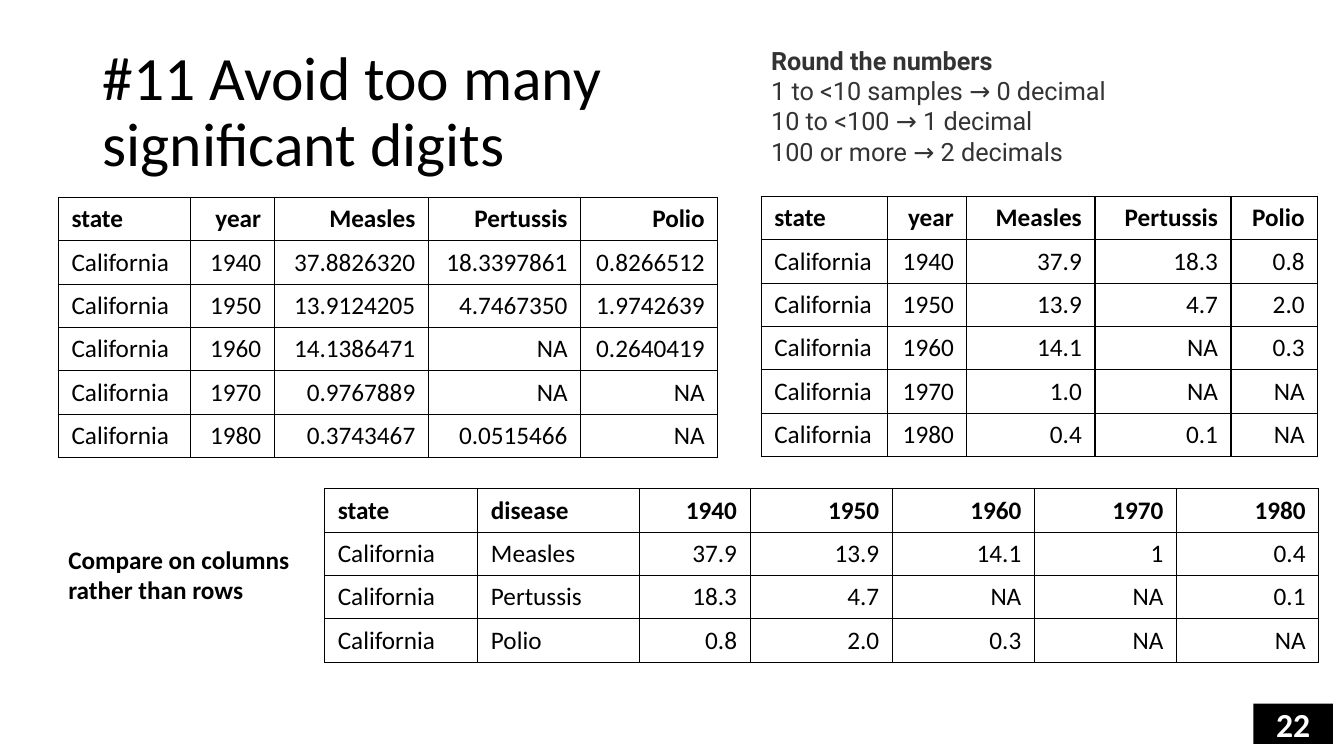
import pptx
import pptx.util
import pptx.dml.color
import pptx.enum.shapes
import pptx.enum.text
import pptx.oxml
from pptx.util import Inches

ALIGN = pptx.enum.text.PP_ALIGN
MIDDLE = pptx.enum.text.MSO_ANCHOR.MIDDLE
BLACK = "000000"
BORDER = (
    '<a:{side} xmlns:a="http://schemas.openxmlformats.org/drawingml/2006/main" w="12700">'
    '<a:solidFill><a:srgbClr val="{color}"/></a:solidFill></a:{side}>'
)


def color(value):
    return pptx.dml.color.RGBColor.from_string(value)


def write(para, text, size=18, bold=False, font="Calibri", ink=BLACK, align=ALIGN.LEFT):
    para.alignment = align
    span = para.add_run()
    span.text = text
    span.font.size = pptx.util.Pt(size)
    span.font.bold = bold
    span.font.name = font
    span.font.color.rgb = color(ink)


deck = pptx.Presentation()
deck.slide_width = Inches(13.33)
deck.slide_height = Inches(7.5)
page = deck.slides.add_slide(deck.slide_layouts[6])

# Title
title = page.shapes.add_textbox(Inches(0.92), Inches(0.4), Inches(5.47), Inches(1.45))
title.text_frame.word_wrap = True
title.text_frame.vertical_anchor = MIDDLE
para = title.text_frame.paragraphs[0]
para.line_spacing = 0.9
write(para, "#11 Avoid too many significant digits", size=44)

# Page number
badge = page.shapes.add_shape(
    pptx.enum.shapes.MSO_SHAPE.RECTANGLE, Inches(12.43), Inches(6.98), Inches(0.79), Inches(0.4)
)
badge.shadow.inherit = False
badge.fill.solid()
badge.fill.fore_color.rgb = color(BLACK)
badge.line.fill.background()
badge.text_frame.vertical_anchor = MIDDLE
write(badge.text_frame.paragraphs[0], "22", size=24, bold=True, ink="FFFFFF", align=ALIGN.CENTER)

# Tables: left, top, number of left-aligned columns, column widths, rows
disease_header = ["state", "year", "Measles", "Pertussis", "Polio"]
tables = [
    (0.58, 1.96, 1, [1.31, 0.83, 1.53, 1.51, 1.36], [
        disease_header,
        ["California", "1940", "37.8826320", "18.3397861", "0.8266512"],
        ["California", "1950", "13.9124205", "4.7467350", "1.9742639"],
        ["California", "1960", "14.1386471", "NA", "0.2640419"],
        ["California", "1970", "0.9767889", "NA", "NA"],
        ["California", "1980", "0.3743467", "0.0515466", "NA"],
    ]),
    (7.55, 1.95, 1, [1.25, 0.79, 1.27, 1.35, 0.86], [
        disease_header,
        ["California", "1940", "37.9", "18.3", "0.8"],
        ["California", "1950", "13.9", "4.7", "2.0"],
        ["California", "1960", "14.1", "NA", "0.3"],
        ["California", "1970", "1.0", "NA", "NA"],
        ["California", "1980", "0.4", "0.1", "NA"],
    ]),
    (3.22, 4.85, 2, [1.52, 1.6, 1.1] + [1.41] * 4, [
        ["state", "disease", "1940", "1950", "1960", "1970", "1980"],
        ["California", "Measles", "37.9", "13.9", "14.1", "1", "0.4"],
        ["California", "Pertussis", "18.3", "4.7", "NA", "NA", "0.1"],
        ["California", "Polio", "0.8", "2.0", "0.3", "NA", "NA"],
    ]),
]
ROW_HEIGHT = 0.43
for left, top, label_columns, widths, rows in tables:
    table = page.shapes.add_table(
        len(rows), len(widths), Inches(left), Inches(top),
        Inches(sum(widths)), Inches(ROW_HEIGHT * len(rows)),
    ).table
    table.horz_banding = False
    for column, width in zip(table.columns, widths):
        column.width = Inches(width)
    for r, values in enumerate(rows):
        table.rows[r].height = Inches(ROW_HEIGHT)
        for c, value in enumerate(values):
            cell = table.cell(r, c)
            cell.vertical_anchor = MIDDLE
            cell.margin_left = cell.margin_right = Inches(0.13)
            cell.margin_top = cell.margin_bottom = Inches(0.06)
            properties = cell._tc.get_or_add_tcPr()
            for side in ("lnL", "lnR", "lnT", "lnB"):
                properties.append(pptx.oxml.parse_xml(BORDER.format(side=side, color=BLACK)))
            cell.fill.background()
            align = ALIGN.LEFT if c < label_columns else ALIGN.RIGHT
            write(cell.text_frame.paragraphs[0], value, bold=r == 0, align=align)

# Advice beside the lower table
advice = page.shapes.add_textbox(Inches(0.58), Inches(5.35), Inches(2.4), Inches(0.71))
advice.text_frame.word_wrap = True
write(advice.text_frame.paragraphs[0], "Compare on columns rather than rows", bold=True)

# Rounding rules
rules = page.shapes.add_textbox(Inches(7.55), Inches(0.4), Inches(3.6), Inches(1.31))
rules.text_frame.word_wrap = False
rule_lines = [
    "Round the numbers",
    "1 to <10 samples → 0 decimal",
    "10 to <100 → 1 decimal",
    "100 or more → 2 decimals",
]
for i, line in enumerate(rule_lines):
    para = rules.text_frame.add_paragraph() if i else rules.text_frame.paragraphs[0]
    write(para, line, bold=i == 0, font="Roboto", ink="333333")

deck.save("out.pptx")
